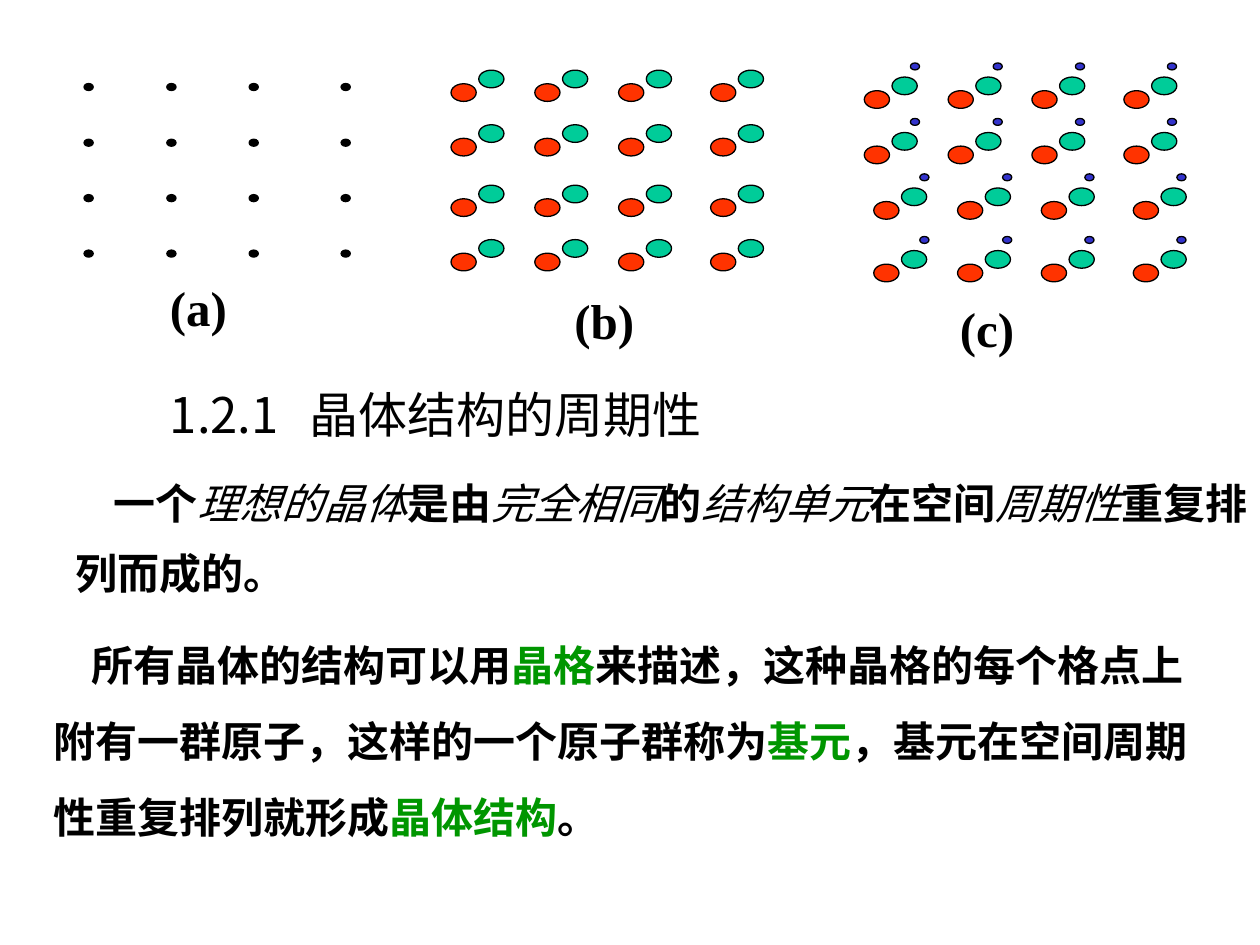
from dataclasses import dataclass
from typing import Any

import pptx
import pptx.dml.color
import pptx.enum.shapes
import pptx.enum.text
import pptx.oxml.ns
import pptx.util
from lxml import etree

WIDTH, HEIGHT = pptx.util.Inches(10), pptx.util.Inches(7.5)
COL, ROW = WIDTH / 100, HEIGHT / 75
SANS, SERIF = "Noto Sans CJK SC", "Times New Roman"
BLACK, TEAL, RED, BLUE, GREEN = "000000", "00CC99", "FF3300", "3333CC", "009600"
LARGE_COLS = (0, 6.65, 13.3, 20.6)
SMALL_COLS = (0, 6.57, 13.1, 20.4)


@dataclass(frozen=True)
class Box:
    left: float
    top: float
    width: float
    height: float

    def emu(self) -> tuple[int, int, int, int]:
        return (round(self.left * COL), round(self.top * ROW),
                round(self.width * COL), round(self.height * ROW))


@dataclass(frozen=True)
class Atom:
    dx: float
    dy: float
    width: float
    height: float
    color: str
    cols: tuple[float, ...]


@dataclass(frozen=True)
class Lattice:
    label: str
    label_box: Box
    left: float
    rows: tuple[float, ...]
    shifts: tuple[float, ...]
    basis: tuple[Atom, ...]


def rgb(color: str) -> pptx.dml.color.RGBColor:
    return pptx.dml.color.RGBColor.from_string(color)


def add_text(shapes: Any, text: str, box: Box, *, size: float, font: str = SANS,
             bold: bool = False, accent_color: str = BLACK,
             accent_bold: bool = True, accent_italic: bool = False,
             spacing: float | None = None, indent: float = 0, tab: float = 0) -> None:
    tf = shapes.add_textbox(*box.emu()).text_frame
    tf.word_wrap = True
    tf.auto_size = pptx.enum.text.MSO_AUTO_SIZE.SHAPE_TO_FIT_TEXT
    p = tf.paragraphs[0]
    ppr = p._p.get_or_add_pPr()
    if indent:
        ppr.set("marL", "0")
        ppr.set("indent", str(round(indent * COL)))
    if tab:
        tabs = etree.SubElement(ppr, pptx.oxml.ns.qn("a:tabLst"))
        etree.SubElement(tabs, pptx.oxml.ns.qn("a:tab"), pos=str(round(tab * COL)), algn="l")
    if spacing:
        p.line_spacing = spacing
    for i, part in enumerate(text.split("|")):
        accent = i % 2 == 1
        r = p.add_run()
        r.text = part
        r.font.name = font
        r.font.size = pptx.util.Pt(size)
        r.font.bold = accent_bold if accent else bold
        r.font.italic = accent and accent_italic
        r.font.color.rgb = rgb(accent_color if accent else BLACK)
        etree.SubElement(r._r.get_or_add_rPr(), pptx.oxml.ns.qn("a:ea"), typeface=font)


def add_atom(shapes: Any, box: Box, color: str) -> None:
    sp = shapes.add_shape(pptx.enum.shapes.MSO_SHAPE.OVAL, *box.emu())
    sp.shadow.inherit = False
    sp.fill.solid()
    sp.fill.fore_color.rgb = rgb(color)
    sp.line.color.rgb = rgb(BLACK)
    sp.line.width = pptx.util.Pt(0.75)


def add_lattice(s: Any, lattice: Lattice) -> None:
    shapes = s.shapes.add_group_shape().shapes
    for top, shift in zip(lattice.rows, lattice.shifts):
        for atom in lattice.basis:
            for col in atom.cols:
                box = Box(lattice.left + shift + atom.dx + col, top + atom.dy,
                          atom.width, atom.height)
                add_atom(shapes, box, atom.color)
    add_text(shapes, lattice.label, lattice.label_box, size=28, font=SERIF, bold=True)


DOT = Atom(0, 0, 0.73, 0.56, BLACK, SMALL_COLS)
RED_ATOM = Atom(0, 0, 2, 1.4, RED, LARGE_COLS)
TEAL_ATOM = Atom(2.2, -1.08, 2, 1.4, TEAL, LARGE_COLS)
BLUE_ATOM = Atom(3.65, -2.2, 0.73, 0.55, BLUE, SMALL_COLS)

LATTICES = (
    Lattice("(a)", Box(12.5, 21.5, 11, 5.7), 6.67, (6.63, 11.05, 15.45, 19.85),
            (0, 0, 0, 0), (DOT,)),
    Lattice("(b)", Box(44.6, 22.6, 7.3, 5.7), 35.8, (6.65, 10.98, 15.78, 20.1),
            (0, 0, 0, 0), (TEAL_ATOM, RED_ATOM)),
    Lattice("(c)", Box(75.2, 23.2, 9.5, 5.7), 68.6, (7.2, 11.6, 16, 20.97),
            (0, 0, 0.75, 0.75), (TEAL_ATOM, RED_ATOM, BLUE_ATOM)),
)


def main() -> None:
    prs = pptx.Presentation()
    prs.slide_width, prs.slide_height = WIDTH, HEIGHT
    s = prs.slides.add_slide(prs.slide_layouts[6])
    add_text(s.shapes, "1.2.1\t晶体结构的周期性", Box(12.5, 30, 55, 5.7), size=28, tab=11.1)
    add_text(s.shapes,
             "所有晶体的结构可以用|晶格|来描述，这种晶格的每个格点上附有一群原子，"
             "这样的一个原子群称为|基元|，基元在空间周期性重复排列就形成|晶体结构|。",
             Box(3.3, 48.3, 94.2, 19), size=24, bold=True, accent_color=GREEN,
             spacing=1.5, indent=3)
    add_text(s.shapes,
             "一个|理想的晶体|是由|完全相同|的|结构单元|在空间|周期性|重复排列而成的。",
             Box(5, 35.8, 95, 12.2), size=24, bold=True, accent_bold=False,
             accent_italic=True, spacing=1.4, indent=3)
    for lattice in LATTICES:
        add_lattice(s, lattice)
    prs.save("out.pptx")


if __name__ == "__main__":
    main()
